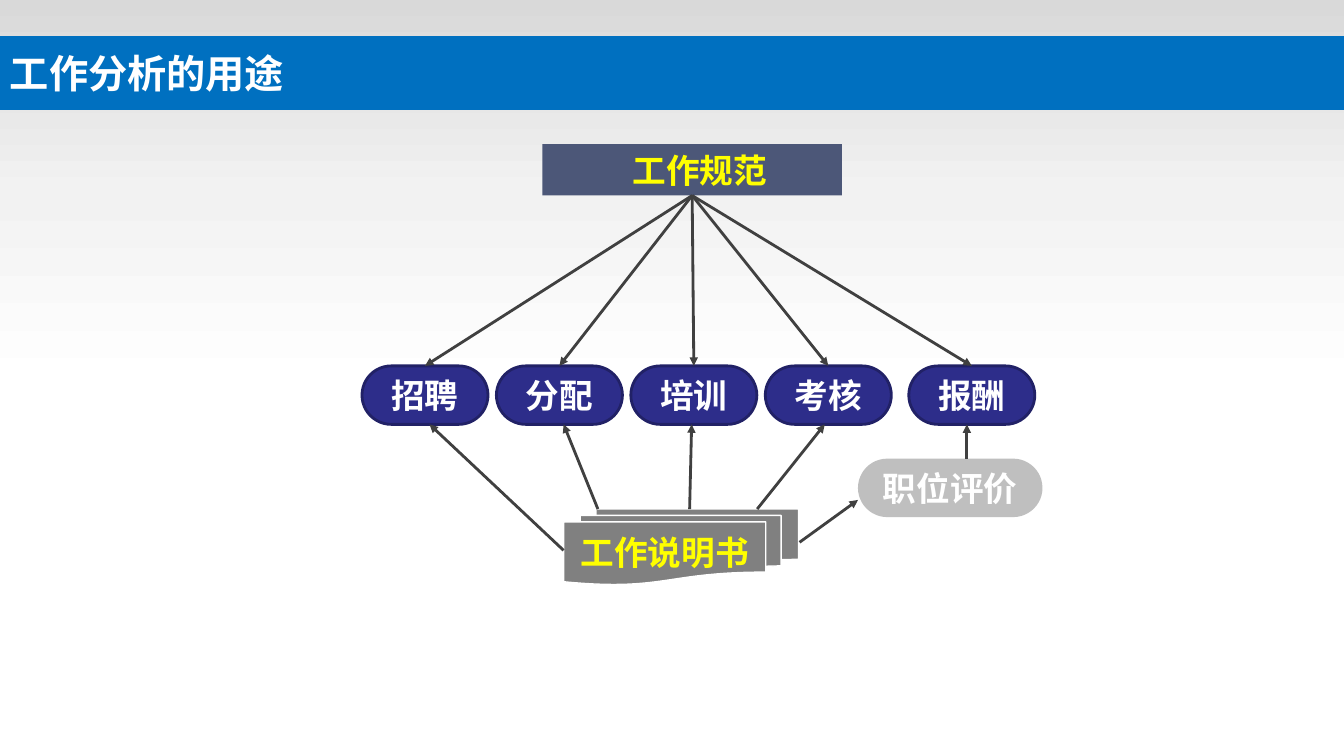
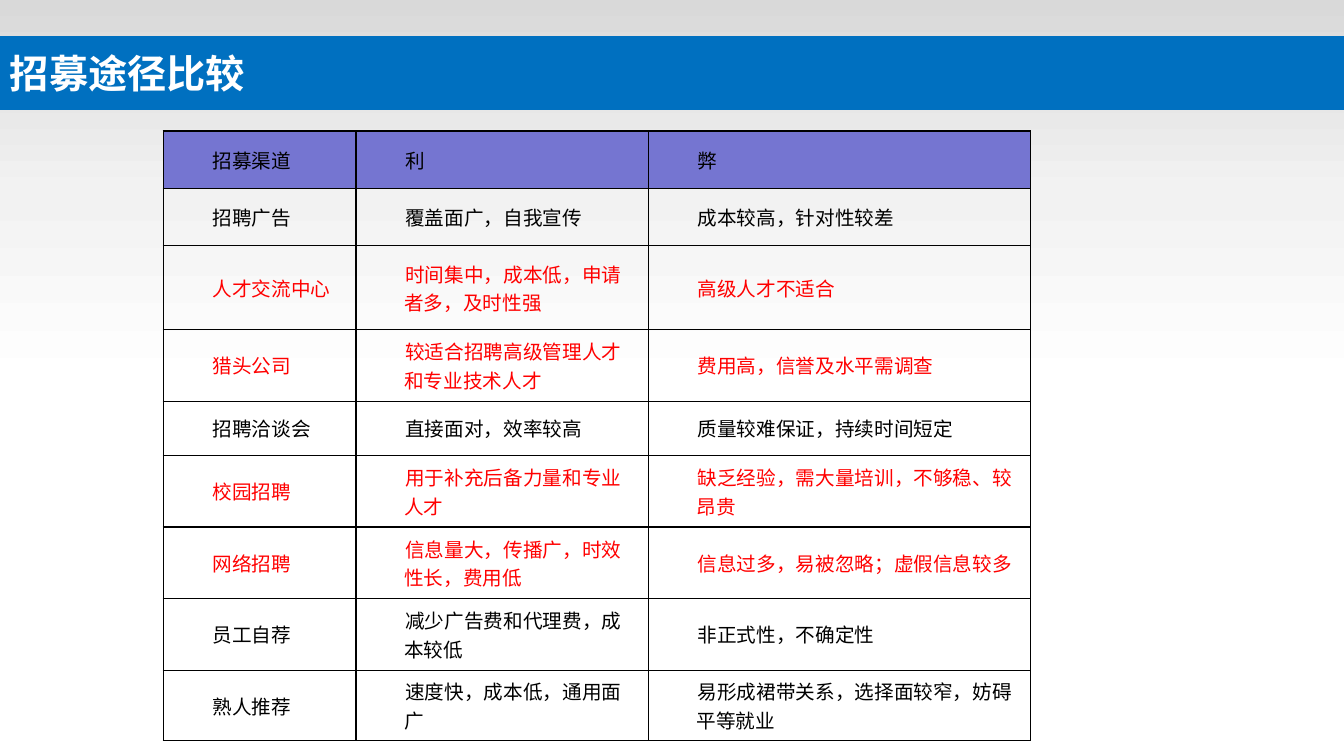
from copy import deepcopy

from lxml import etree
from pptx import Presentation, util as u
from pptx.dml.color import RGBColor
from pptx.enum import shapes as kinds, text as texts
from pptx.oxml.ns import qn

SLIDE_W, SLIDE_H = 13.33, 7.5
CJK, LATIN = "Noto Sans CJK SC", "Arial"
WHITE, BLACK, RED, YELLOW = "FFFFFF", "000000", "FF0000", "FFFF00"
BLUE, NAVY, NAVY_EDGE, SLATE = "0070C0", "2D2D8A", "212166", "4C5778"
GREY, PALE_GREY, ARROW_GREY, HEADER = "808080", "BFBFBF", "404040", "7575D1"
BACKDROP = [(0, "D9D9D9"), (0.5, "F2F2F2"), (1, WHITE)]

USES_TITLE = "工作分析的用途"
USES = ["招聘", "分配", "培训", "考核", "报酬"]
PILL_LEFT, PILL_TOP, PILL_PITCH, LAST_GAP = 3.59, 3.63, 4 / 3, 0.09
PILL_W, PILL_H = 1.25, 0.58
DOC_TOP, PILL_BOTTOM = 5.05, PILL_TOP + PILL_H
DESCRIPTION_ARROWS = [
    ((5.59, 5.46), (4.26, PILL_BOTTOM)),
    ((5.93, DOC_TOP), (5.59, PILL_BOTTOM)),
    ((6.84, DOC_TOP), (6.86, PILL_BOTTOM)),
    ((7.51, DOC_TOP), (8.18, PILL_BOTTOM)),
    ((7.93, 5.38), (8.51, 4.96)),
    ((9.59, 4.55), (9.59, PILL_BOTTOM)),
]

CHANNELS_TITLE = "招募途径比较"
CHANNELS = [
    ("招募渠道", "利", "弊"),
    ("招聘广告", "覆盖面广，自我宣传", "成本较高，针对性较差"),
    ("人才交流中心", "时间集中，成本低，申请者多，及时性强", "高级人才不适合"),
    ("猎头公司", "较适合招聘高级管理人才和专业技术人才", "费用高，信誉及水平需调查"),
    ("招聘洽谈会", "直接面对，效率较高", "质量较难保证，持续时间短定"),
    ("校园招聘", "用于补充后备力量和专业人才", "缺乏经验，需大量培训，不够稳、较昂贵"),
    ("网络招聘", "信息量大，传播广，时效性长，费用低", "信息过多，易被忽略；虚假信息较多"),
    ("员工自荐", "减少广告费和代理费，成本较低", "非正式性，不确定性"),
    ("熟人推荐", "速度快，成本低，通用面广", "易形成裙带关系，选择面较窄，妨碍平等就业"),
]
HIGHLIGHTED = {"人才交流中心", "猎头公司", "校园招聘", "网络招聘"}
COLUMN_WIDTHS = [1.91, 2.9, 3.79]
ROW_HEIGHTS = [0.57, 0.57, 0.83, 0.71, 0.54, 0.71, 0.71, 0.71, 0.7]


def rgb(value):
    return RGBColor.from_string(value)


def style(paragraph, size, color, face, bold=False):
    font = paragraph.font
    font.size, font.bold, font.name = u.Pt(size), bold, face
    font.color.rgb = rgb(color)
    if face == CJK:
        etree.SubElement(font._element, qn("a:ea")).set("typeface", face)


def block(slide, kind, box, fill=None, edge=None, edge_width=1):
    shape = slide.shapes.add_shape(kind, *map(u.Inches, box))
    shape.shadow.inherit = False
    if fill:
        shape.fill.solid()
        shape.fill.fore_color.rgb = rgb(fill)
    if edge:
        shape.line.color.rgb = rgb(edge)
        shape.line.width = u.Pt(edge_width)
    else:
        shape.line.fill.background()
    return shape


def label(shape, words, color, size=24, align=texts.PP_ALIGN.CENTER, wrap=False):
    frame = shape.text_frame
    frame.word_wrap = wrap
    frame.vertical_anchor = texts.MSO_ANCHOR.MIDDLE
    frame.text = words
    frame.paragraphs[0].alignment = align
    style(frame.paragraphs[0], size, color, CJK, bold=True)


def pill(slide, words, box, fill, edge=None):
    shape = block(slide, kinds.MSO_SHAPE.ROUNDED_RECTANGLE, box, fill, edge, 2)
    shape.adjustments[0] = 0.5
    label(shape, words, WHITE)
    return shape


def arrow(slide, start=(0, 0), end=(0, 0)):
    line = slide.shapes.add_connector(
        kinds.MSO_CONNECTOR.STRAIGHT, *map(u.Inches, (*start, *end)))
    line.line.color.rgb = rgb(ARROW_GREY)
    line.line.width = u.Pt(2)
    etree.SubElement(line.line._get_or_add_ln(), qn("a:tailEnd")).set("type", "triangle")
    etree.SubElement(line._element.spPr, qn("a:effectLst"))
    return line


def titled_slide(deck, title):
    """Add a slide with the shared gradient backdrop and title band."""
    slide = deck.slides.add_slide(deck.slide_layouts[6])
    rect = kinds.MSO_SHAPE.RECTANGLE
    backdrop = block(slide, rect, (0, 0, SLIDE_W, 3.83))
    backdrop.fill.gradient()
    backdrop.fill.gradient_angle = 270
    stops = backdrop._element.spPr.find(".//" + qn("a:gsLst"))
    stops.append(deepcopy(stops[0]))
    for stop, (position, color) in zip(backdrop.fill.gradient_stops, BACKDROP):
        stop.position = position
        stop.color.rgb = rgb(color)
    band = block(slide, rect, (0, 0.36, SLIDE_W, 0.73), BLUE)
    label(band, title, WHITE, 28, texts.PP_ALIGN.LEFT, wrap=True)
    return slide


def uses_slide(deck):
    slide = titled_slide(deck, USES_TITLE)
    document = block(slide, kinds.MSO_SHAPE.FLOWCHART_MULTIDOCUMENT,
                     (5.59, DOC_TOP, 2.33, 0.75), GREY, WHITE)
    label(document, "工作说明书", YELLOW)
    specification = block(slide, kinds.MSO_SHAPE.RECTANGLE, (5.38, 1.43, 2.97, 0.51), SLATE)
    label(specification, "工作规范", YELLOW, wrap=True)
    specification.text_frame.margin_left = u.Inches(0.25)
    pill(slide, "职位评价", (8.51, 4.55, 1.83, PILL_H), PALE_GREY)
    for i, use in enumerate(USES):
        left = PILL_LEFT + i * PILL_PITCH + (LAST_GAP if use == USES[-1] else 0)
        target = pill(slide, use, (left, PILL_TOP, PILL_W, PILL_H), NAVY, NAVY_EDGE)
        link = arrow(slide)
        link.begin_connect(specification, 2)
        link.end_connect(target, 0)
    for start, end in DESCRIPTION_ARROWS:
        arrow(slide, start, end)


def outline(cell):
    for side in ("lnL", "lnR", "lnT", "lnB"):
        border = etree.SubElement(cell._tc.get_or_add_tcPr(), qn("a:" + side), w=str(u.Pt(1)))
        paint = etree.SubElement(border, qn("a:solidFill"))
        etree.SubElement(paint, qn("a:srgbClr"), val=BLACK)


def channels_slide(deck):
    slide = titled_slide(deck, CHANNELS_TITLE)
    table = slide.shapes.add_table(
        len(CHANNELS), len(COLUMN_WIDTHS), u.Inches(1.62), u.Inches(1.3),
        u.Inches(sum(COLUMN_WIDTHS)), u.Inches(sum(ROW_HEIGHTS))).table
    table.first_row = table.horz_banding = False
    for column, width in zip(table.columns, COLUMN_WIDTHS):
        column.width = u.Inches(width)
    for r, (row, height, entries) in enumerate(zip(table.rows, ROW_HEIGHTS, CHANNELS)):
        row.height = u.Inches(height)
        color = RED if entries[0] in HIGHLIGHTED else BLACK
        for cell, entry in zip(row.cells, entries):
            cell.text = entry
            cell.vertical_anchor = texts.MSO_ANCHOR.MIDDLE
            outline(cell)
            if r == 0:
                cell.fill.solid()
                cell.fill.fore_color.rgb = rgb(HEADER)
            else:
                cell.fill.background()
            paragraph = cell.text_frame.paragraphs[0]
            indents = paragraph._p.get_or_add_pPr()
            indents.set("marL", str(u.Inches(0.38)))
            indents.set("indent", str(u.Inches(0.01)))
            style(paragraph, 14, color, LATIN)


def main():
    deck = Presentation()
    deck.slide_width, deck.slide_height = u.Inches(SLIDE_W), u.Inches(SLIDE_H)
    uses_slide(deck)
    channels_slide(deck)
    deck.save("out.pptx")


if __name__ == "__main__":
    main()
